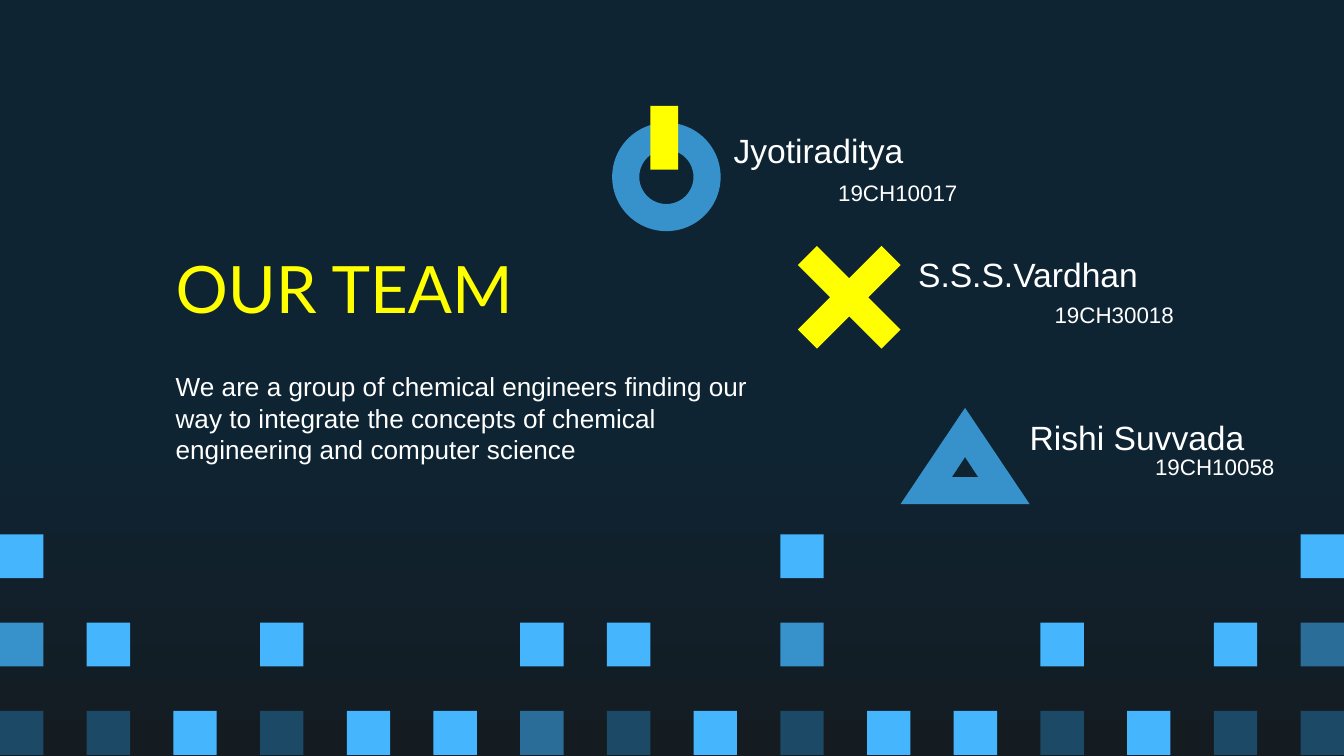
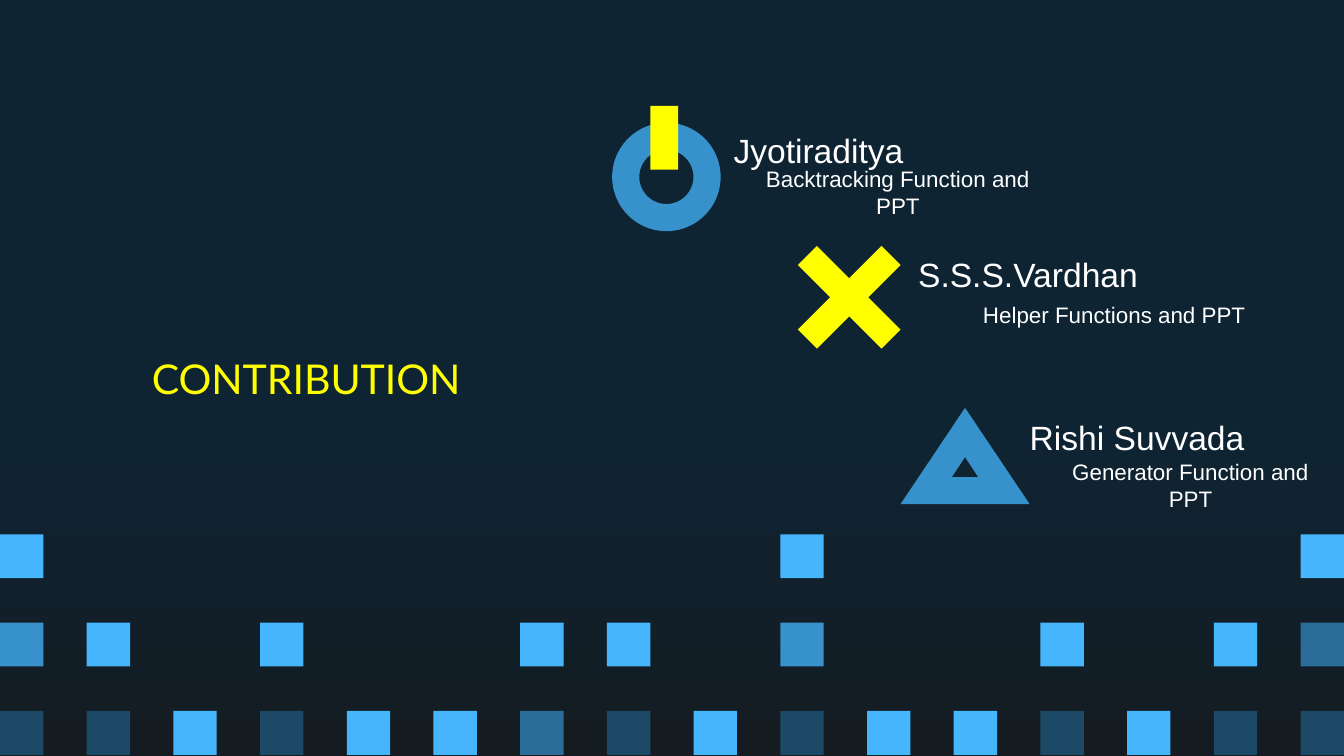
"""Build the team slide and the contribution slide."""
from pptx import Presentation
from pptx.dml.color import RGBColor
from pptx.enum.shapes import MSO_SHAPE as SHAPE
from pptx.enum.text import MSO_ANCHOR as ANCHOR, PP_ALIGN as ALIGN
from pptx.util import Cm, Pt

SLIDE_W, SLIDE_H = 25.4, 14.29
COLORS = {
    "navy": "0E2433", "black": "141C21", "yellow": "FFFF00", "white": "FFFFFF",
    "light": "45B6FE", "medium": "3792CB", "dim": "296D98", "dark": "1C4966",
}

TILE_ROWS = [
    "L........L.....L",
    "ML.L..LL.M..L.LD",
    "KKLKLLDKLKLLKLKK",
]
TILE_COLORS = {"L": "light", "M": "medium", "D": "dim", "K": "dark"}
TILE_W, TILE_H, TILE_TOP, ROW_STEP = 0.82, 0.83, 10.1, 1.67

NAME_SIZE = (6, 1.07)
MEMBERS = [
    ("Jyotiraditya", (12.47, 2.31)),
    ("S.S.S.Vardhan", (16.43, 4.65)),
    ("Rishi Suvvada", (18.49, 7.72)),
]
SLIDES = [
    {
        "title": ("OUR TEAM", (3.07, 4.27, 9.86, 2.31), 35),
        "body": ("We are a group of chemical engineers finding our way to integrate "
                 "the concepts of chemical engineering and computer science",
                 (3.07, 6.76, 11.35, 2.31)),
        "details": [
            ("19CH10017", (13.97, 3.1, 6, 1.07)),
            ("19CH30018", (18.06, 5.41, 6, 1.07)),
            ("19CH10058", (19.96, 8.28, 6, 1.07)),
        ],
    },
    {
        "title": ("CONTRIBUTION", (2.62, 5.99, 9.86, 2.31), 22),
        "body": None,
        "details": [
            ("Backtracking Function and PPT", (13.97, 3.1, 6, 1.07)),
            ("Helper Functions and PPT", (18.06, 5.41, 6, 1.07)),
            ("Generator Function and PPT", (19.96, 8.64, 5.08, 1.07)),
        ],
    },
]


def rgb(name):
    return RGBColor.from_string(COLORS[name])


def paint(sp, color):
    sp.shadow.inherit = False
    sp.fill.solid()
    sp.fill.fore_color.rgb = rgb(color)
    sp.line.fill.background()


def add_preset(slide, kind, box, color):
    sp = slide.shapes.add_shape(kind, *map(Cm, box))
    paint(sp, color)
    return sp


def add_outline(slide, contours, color):
    contours = [[(Cm(x), Cm(y)) for x, y in points] for points in contours]
    builder = slide.shapes.build_freeform(*contours[0][0], scale=1.0)
    for i, points in enumerate(contours):
        if i:
            builder.move_to(*points[0])
        builder.add_line_segments(points[1:], close=True)
    paint(builder.convert_to_shape(), color)


def add_text(slide, text, box, size, color="white", font="Arial",
             align=ALIGN.CENTER, anchor=ANCHOR.MIDDLE):
    tf = slide.shapes.add_textbox(*map(Cm, box)).text_frame
    tf.word_wrap = True
    tf.vertical_anchor = anchor
    tf.margin_left = tf.margin_right = tf.margin_top = tf.margin_bottom = Cm(0.25)
    p = tf.paragraphs[0]
    p.text = text
    p.alignment = align
    r = p.runs[0]
    r.font.size = Pt(size)
    r.font.name = font
    r.font.color.rgb = rgb(color)
    return p


def set_background(master):
    fill = master.background.fill
    fill.gradient()
    fill.gradient_angle = 270
    for stop, position, color in zip(fill.gradient_stops, (0.56, 1), ("navy", "black")):
        stop.position = position
        stop.color.rgb = rgb(color)


def add_tiles(slide):
    for row, tiles in enumerate(TILE_ROWS):
        step = (SLIDE_W - TILE_W) / (len(tiles) - 1)
        for col, tile in enumerate(tiles):
            if tile in TILE_COLORS:
                box = (col * step, TILE_TOP + row * ROW_STEP, TILE_W, TILE_H)
                add_preset(slide, SHAPE.RECTANGLE, box, TILE_COLORS[tile])


def triangle(x, top, bottom, half):
    return [(x, top), (x - half, bottom), (x + half, bottom)]


def cross(x, y):
    arm = [(-0.61, -0.97), (-0.97, -0.61), (-0.36, 0)]
    points = []
    for _ in range(4):
        points += [(x + dx, y + dy) for dx, dy in arm]
        arm = [(dy, -dx) for dx, dy in arm]
    return points


def add_icons(slide):
    add_outline(slide, [cross(16.05, 5.62)], "yellow")
    add_outline(slide, [triangle(18.24, 7.71, 9.53, 1.22),
                        triangle(18.24, 8.64, 9.02, 0.25)], "medium")
    ring = add_preset(slide, SHAPE.DONUT, (11.57, 2.32, 2.05, 2.05), "medium")
    ring.adjustments[0] = 0.25
    add_preset(slide, SHAPE.RECTANGLE, (12.29, 2, 0.53, 1.21), "yellow")


def add_members(slide, details):
    for (name, corner), (detail, box) in zip(MEMBERS, details):
        add_text(slide, name, corner + NAME_SIZE, 18)
        add_text(slide, detail, box, 12)


def main():
    prs = Presentation()
    prs.slide_width, prs.slide_height = Cm(SLIDE_W), Cm(SLIDE_H)
    set_background(prs.slide_master)
    for content in SLIDES:
        slide = prs.slides.add_slide(prs.slide_layouts[6])
        add_tiles(slide)
        title, box, size = content["title"]
        add_text(slide, title, box, size, "yellow", "Lato", ALIGN.LEFT)
        if content["body"]:
            p = add_text(slide, *content["body"], 14, align=ALIGN.LEFT, anchor=ANCHOR.TOP)
            p.space_after = Pt(10)
        add_icons(slide)
        add_members(slide, content["details"])
    prs.save("out.pptx")


if __name__ == "__main__":
    main()
